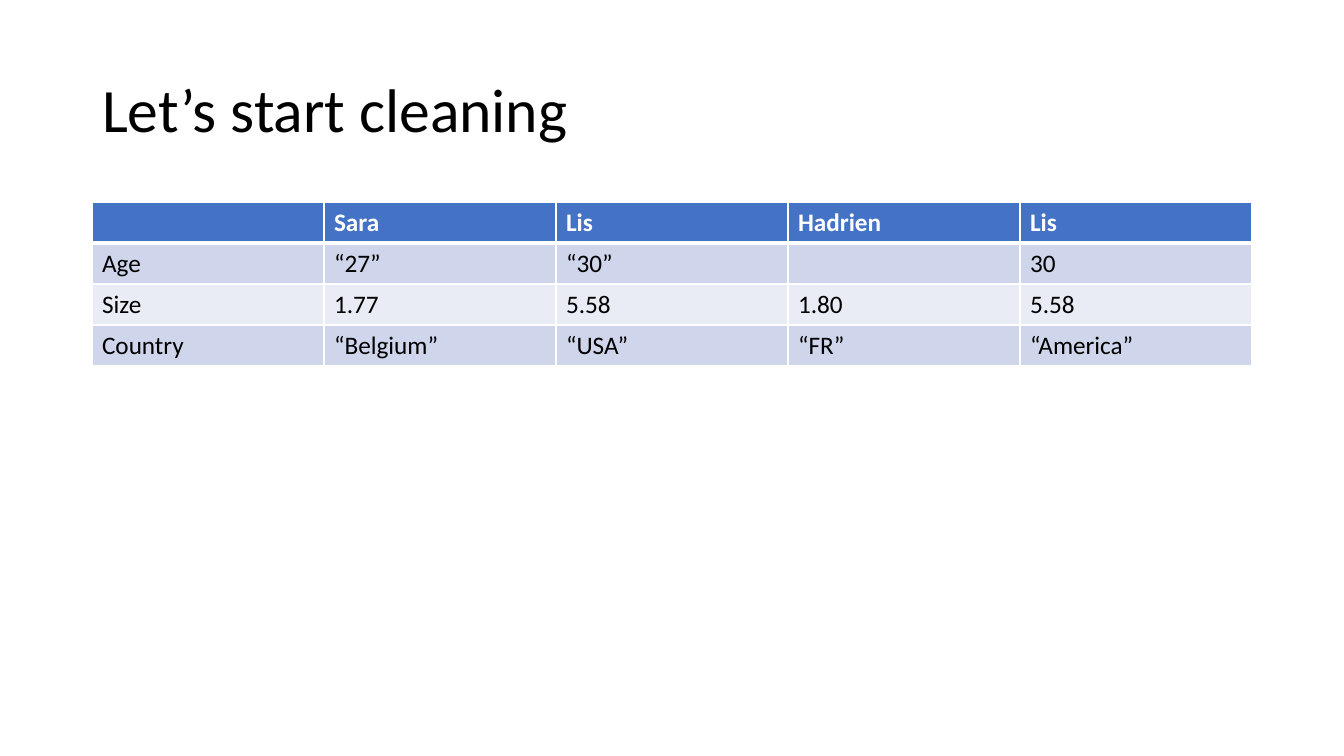
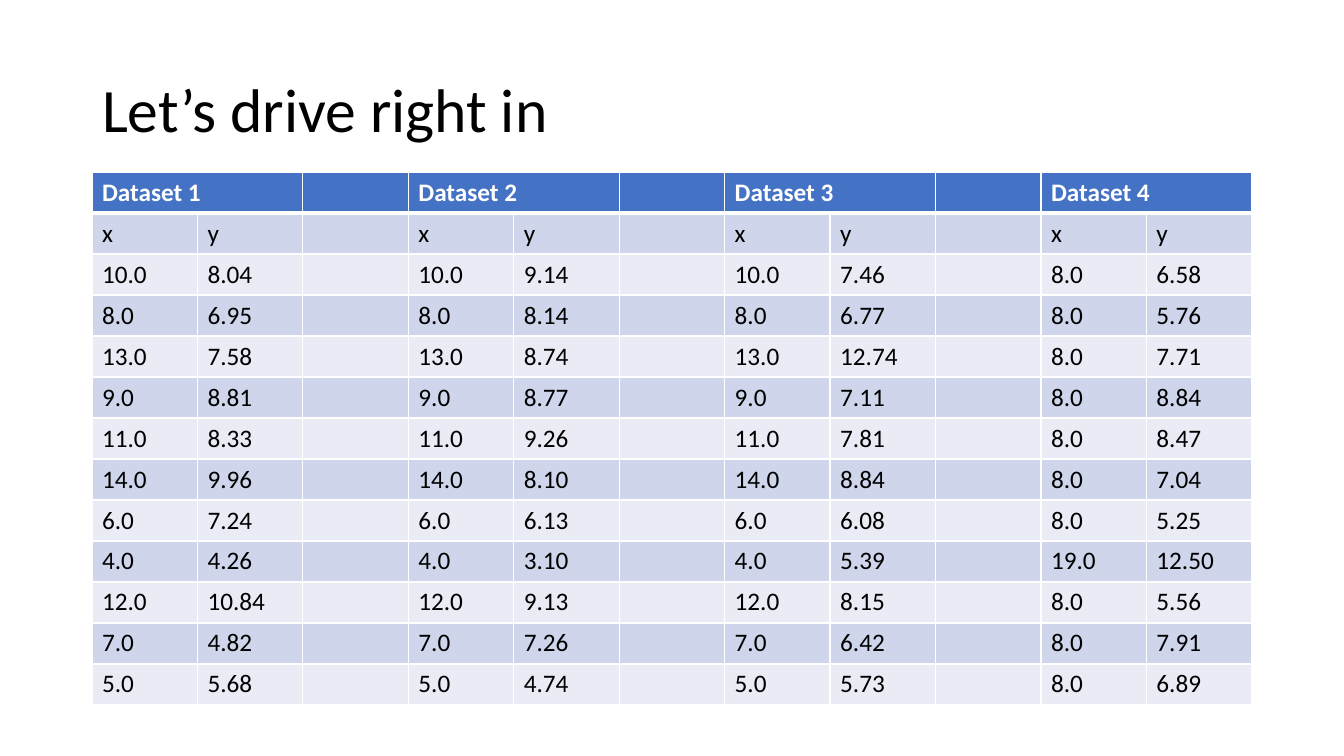
import lxml.etree
import pptx
import pptx.dml.color
import pptx.enum.text
import pptx.oxml.ns
import pptx.util

EMU_PER_PX = 914400 / 100.8
SLIDE_WIDTH, SLIDE_HEIGHT = 1344, 756
MARGIN = 92
CONTENT_WIDTH = SLIDE_WIDTH - 2 * MARGIN
TITLE_TOP, TITLE_HEIGHT = 40, 146
ROW_HEIGHT = 41

FONT = "Calibri"
BLACK = pptx.dml.color.RGBColor(0x00, 0x00, 0x00)
WHITE = pptx.dml.color.RGBColor(0xFF, 0xFF, 0xFF)
HEADER_BLUE = pptx.dml.color.RGBColor(0x44, 0x72, 0xC4)
DARK_BAND = pptx.dml.color.RGBColor(0xCF, 0xD5, 0xEA)
LIGHT_BAND = pptx.dml.color.RGBColor(0xE9, 0xEB, 0xF5)

PEOPLE = [
    ["", "Sara", "Lis", "Hadrien", "Lis"],
    ["Age", "“27”", "“30”", "", "30"],
    ["Size", "1.77", "5.58", "1.80", "5.58"],
    ["Country", "“Belgium”", "“USA”", "“FR”", "“America”"],
]

COMMON_X = "10.0 8.0 13.0 9.0 11.0 14.0 6.0 4.0 12.0 7.0 5.0"
DATASETS = [
    (COMMON_X, "8.04 6.95 7.58 8.81 8.33 9.96 7.24 4.26 10.84 4.82 5.68"),
    (COMMON_X, "9.14 8.14 8.74 8.77 9.26 8.10 6.13 3.10 9.13 7.26 4.74"),
    (COMMON_X, "7.46 6.77 12.74 7.11 7.81 8.84 6.08 5.39 8.15 6.42 5.73"),
    ("8.0 8.0 8.0 8.0 8.0 8.0 8.0 19.0 8.0 8.0 8.0",
     "6.58 5.76 7.71 8.84 8.47 7.04 5.25 12.50 5.56 7.91 6.89"),
]

# Each dataset takes an x and a y column, with an empty column between datasets.
dataset_columns = []
for number, (x_values, y_values) in enumerate(DATASETS, start=1):
    if dataset_columns:
        dataset_columns.append([""] * len(dataset_columns[0]))
    dataset_columns.append([f"Dataset {number}", "x"] + x_values.split())
    dataset_columns.append(["", "y"] + y_values.split())
dataset_rows = list(zip(*dataset_columns))

SLIDES = [
    ("Let’s start cleaning", 202, PEOPLE, []),
    ("Let’s drive right in", 172, dataset_rows, range(0, len(dataset_columns), 3)),
]


def px(length):
    return pptx.util.Emu(round(length * EMU_PER_PX))


def add_text(paragraph, text, size, color, bold=False):
    run = paragraph.add_run()
    run.text = text
    run.font.name = FONT
    run.font.size = pptx.util.Pt(size)
    run.font.bold = bold
    run.font.color.rgb = color


presentation = pptx.Presentation()
presentation.slide_width = px(SLIDE_WIDTH)
presentation.slide_height = px(SLIDE_HEIGHT)
title_only = presentation.slide_layouts[5]

for title_text, table_top, rows, merge_starts in SLIDES:
    slide = presentation.slides.add_slide(title_only)
    title = slide.shapes.title
    title.left, title.top = px(MARGIN), px(TITLE_TOP)
    title.width, title.height = px(CONTENT_WIDTH), px(TITLE_HEIGHT)
    title.text_frame.vertical_anchor = pptx.enum.text.MSO_ANCHOR.MIDDLE
    paragraph = title.text_frame.paragraphs[0]
    paragraph.alignment = pptx.enum.text.PP_ALIGN.LEFT
    paragraph.line_spacing = 0.9
    add_text(paragraph, title_text, 44, BLACK)

    table = slide.shapes.add_table(
        len(rows), len(rows[0]), px(MARGIN), px(table_top),
        px(CONTENT_WIDTH), px(ROW_HEIGHT * len(rows))).table
    for column in table.columns:
        column.width = px(CONTENT_WIDTH / len(rows[0]))

    for row_index, row in enumerate(rows):
        is_header = row_index == 0
        if is_header:
            fill_color, text_color = HEADER_BLUE, WHITE
        else:
            fill_color = DARK_BAND if row_index % 2 else LIGHT_BAND
            text_color = BLACK
        border_widths = {
            "a:lnL": 1,
            "a:lnR": 1,
            "a:lnT": 3 if row_index == 1 else 1,
            "a:lnB": 3 if is_header else 1,
        }
        for column_index, text in enumerate(row):
            cell = table.cell(row_index, column_index)
            if text:
                add_text(cell.text_frame.paragraphs[0], text, 18, text_color, is_header)
            # Borders must come before the fill in the cell properties.
            properties = cell._tc.get_or_add_tcPr()
            for tag, width in border_widths.items():
                border = lxml.etree.SubElement(
                    properties, pptx.oxml.ns.qn(tag), w=str(pptx.util.Pt(width)))
                border_fill = lxml.etree.SubElement(border, pptx.oxml.ns.qn("a:solidFill"))
                lxml.etree.SubElement(
                    border_fill, pptx.oxml.ns.qn("a:srgbClr"), val=str(WHITE))
            cell.fill.solid()
            cell.fill.fore_color.rgb = fill_color

    for start in merge_starts:
        table.cell(0, start).merge(table.cell(0, start + 1))

presentation.save("out.pptx")
